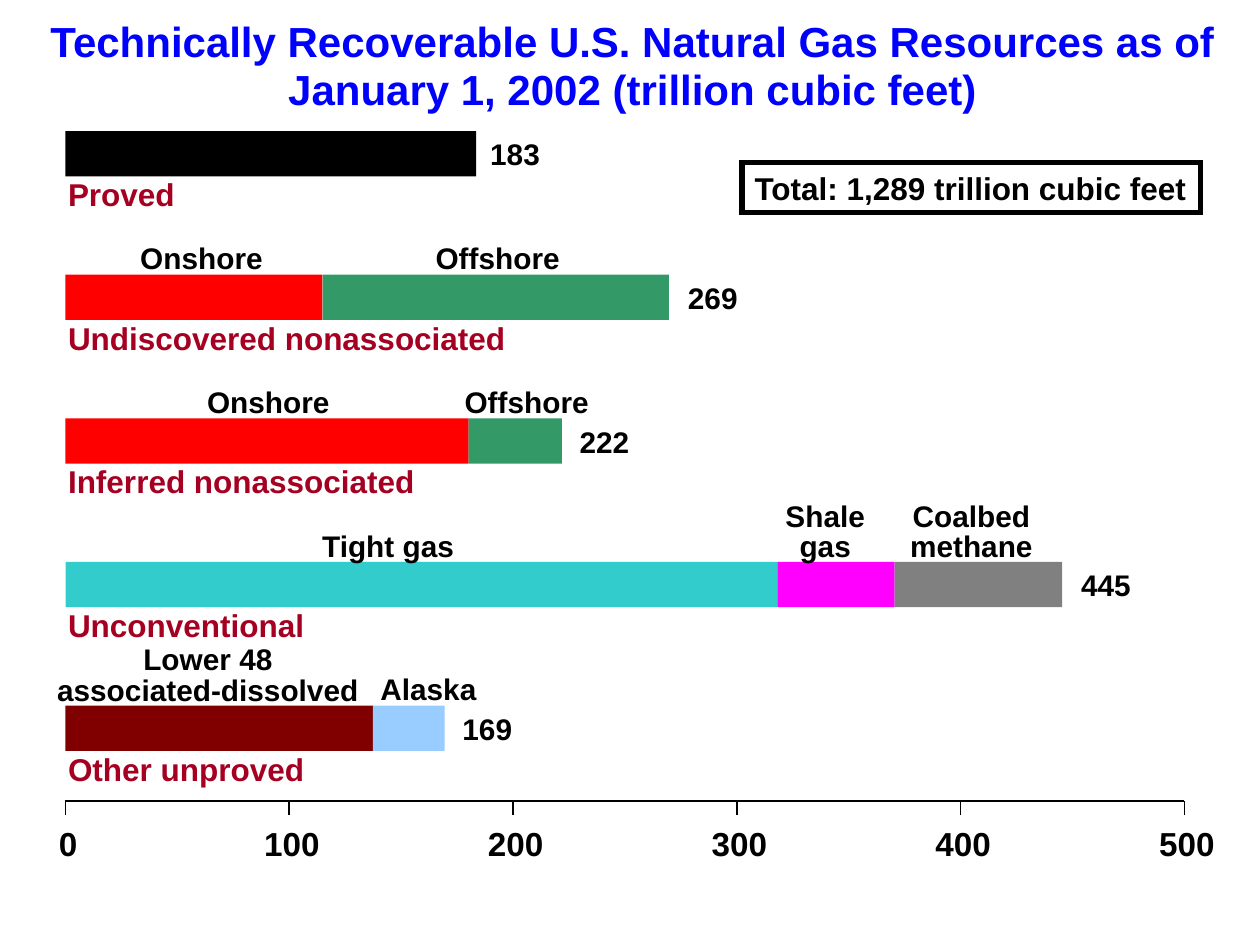
from lxml.etree import SubElement
from pptx import Presentation
from pptx.dml.color import RGBColor
from pptx.enum.shapes import MSO_CONNECTOR, MSO_SHAPE
from pptx.enum.text import MSO_ANCHOR, MSO_AUTO_SIZE, PP_ALIGN
from pptx.oxml.ns import qn
from pptx.util import Inches, Pt

COLORS = {
    "title": "0000FF", "name": "A50021", "black": "000000",
    "red": "FF0000", "green": "339966", "teal": "33CCCC",
    "magenta": "FF00FF", "gray": "808080", "maroon": "800000", "blue": "99CCFF",
}
TITLE = ("Technically Recoverable U.S. Natural Gas Resources as of\n"
         "January 1, 2002 (trillion cubic feet)")
TOTAL = "Total: 1,289 trillion cubic feet"
BARS = [
    {"name": "Proved", "name_w": 0.87, "value": "183", "value_x": 3.89,
     "segments": [(3.26, "black")], "labels": []},
    {"name": "Undiscovered nonassociated", "name_w": 3.5, "value": "269", "value_x": 5.46,
     "segments": [(2.04, "red"), (2.75, "green")],
     "labels": [("Onshore", 1.6, 1), ("Offshore", 3.95, 1.02)]},
    {"name": "Inferred nonassociated", "name_w": 2.78, "value": "222", "value_x": 4.6,
     "segments": [(3.2, "red"), (0.74, "green")],
     "labels": [("Onshore", 2.13, 1), ("Offshore", 4.18, 1.02)]},
    {"name": "Unconventional", "name_w": 1.9, "value": "445", "value_x": 8.58,
     "segments": [(5.65, "teal"), (0.93, "magenta"), (1.33, "gray")],
     "labels": [("Tight gas", 3.08, 1.08), ("Shale\ngas", 6.55, 0.66),
                ("Coalbed\nmethane", 7.71, 1)]},
    {"name": "Other unproved", "name_w": 1.9, "value": "169", "value_x": 3.67,
     "segments": [(2.44, "maroon"), (0.57, "blue")],
     "labels": [("Lower 48\nassociated-dissolved", 1.65, 2.42), ("Alaska", 3.4, 0.79)]},
]
TICKS = range(0, 501, 100)
LEFT, RIGHT, AXIS_Y, TICK_H = 0.52, 9.4, 6.36, 0.11
BAR_TOP, BAR_STEP, BAR_H = 1.04, 1.14, 0.36
LINE_H = 0.24


def rgb(name):
    return RGBColor.from_string(COLORS[name])


def write(sp, text, size, color="black", align=PP_ALIGN.LEFT, spacing=None, inset=(0, 0)):
    tf = sp.text_frame
    tf.text = text
    tf.word_wrap = False
    tf.auto_size = MSO_AUTO_SIZE.SHAPE_TO_FIT_TEXT
    tf.vertical_anchor = MSO_ANCHOR.TOP
    tf.margin_left = tf.margin_right = Inches(inset[0])
    tf.margin_top = tf.margin_bottom = Inches(inset[1])
    for p in tf.paragraphs:
        p.alignment = align
        if spacing:
            p.line_spacing = spacing
        for r in p.runs:
            r.font.name, r.font.size, r.font.bold = "Arial", Pt(size), True
            r.font.color.rgb = rgb(color)


def add_label(s, text, x, y, w, h, size, **style):
    sp = s.shapes.add_textbox(Inches(x), Inches(y), Inches(w), Inches(h))
    write(sp, text, size, **style)


def add_rect(s, x, y, w, h):
    sp = s.shapes.add_shape(MSO_SHAPE.RECTANGLE, Inches(x), Inches(y), Inches(w), Inches(h))
    sp.shadow.inherit = False
    return sp


def add_line(s, x1, y1, x2, y2):
    line = s.shapes.add_connector(MSO_CONNECTOR.STRAIGHT, Inches(x1), Inches(y1),
                                  Inches(x2), Inches(y2))
    line.line.color.rgb = rgb("black")
    line.line.width = Pt(1)
    SubElement(line._element.spPr, qn("a:effectLst"))


def add_bar(s, top, bar):
    x = LEFT
    for width, color in bar["segments"]:
        sp = add_rect(s, x, top, width, BAR_H)
        sp.fill.solid()
        sp.fill.fore_color.rgb = rgb(color)
        sp.line.fill.background()
        x += width
    for label, center, w in bar["labels"]:
        h = LINE_H * len(label.split("\n"))
        add_label(s, label, center - w / 2, top + 0.01 - h, w, h, 17,
                  align=PP_ALIGN.CENTER, spacing=0.85)
    add_label(s, bar["name"], LEFT + 0.02, top + BAR_H - 0.01, bar["name_w"], 0.3, 18,
              color="name")
    add_label(s, bar["value"], bar["value_x"], top + 0.04, 0.42, 0.28, 17)


def add_axis(s):
    add_line(s, LEFT, AXIS_Y, RIGHT, AXIS_Y)
    for tick in TICKS:
        x = LEFT + (RIGHT - LEFT) * tick / TICKS[-1]
        w = 0.15 * len(str(tick))
        add_line(s, x, AXIS_Y + TICK_H, x, AXIS_Y)
        add_label(s, str(tick), x + 0.02 - w / 2, 6.53, w, 0.32, 19,
                  align=PP_ALIGN.CENTER)


def main():
    prs = Presentation()
    prs.slide_width, prs.slide_height = Inches(10), Inches(7.5)
    s = prs.slides.add_slide(prs.slide_layouts[5])

    title = s.shapes.title
    title.left, title.top = Inches(0.39), Inches(0.15)
    title.width, title.height = Inches(9.26), Inches(0.76)
    write(title, TITLE, 24, "title", PP_ALIGN.CENTER, 0.95)

    total = add_rect(s, 5.89, 1.29, 3.64, 0.4)
    total.fill.background()
    total.line.color.rgb = rgb("black")
    total.line.width = Pt(3)
    SubElement(total.line._get_or_add_ln(), qn("a:miter"), lim="800000")
    write(total, TOTAL, 18, inset=(0.1, 0.05))

    for i, bar in enumerate(BARS):
        add_bar(s, BAR_TOP + i * BAR_STEP, bar)
    add_axis(s)
    prs.save("out.pptx")


if __name__ == "__main__":
    main()
